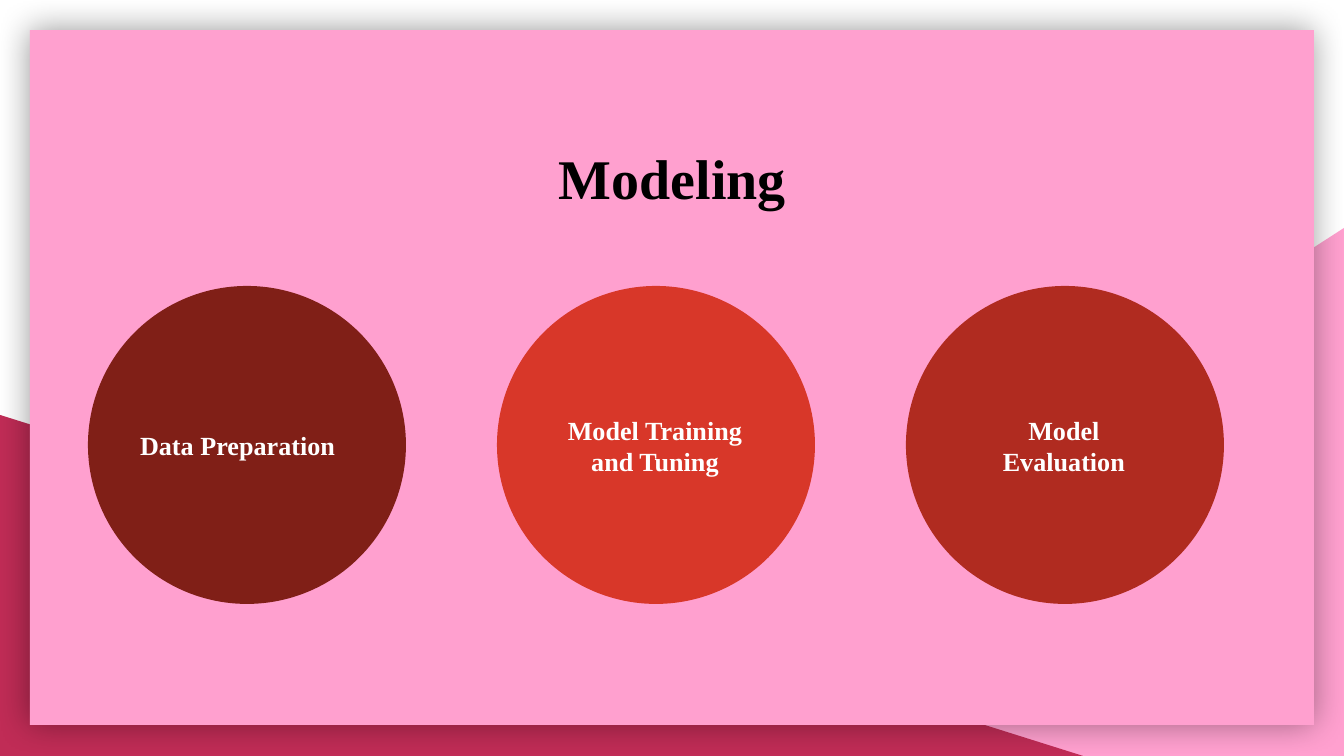
import pptx
import pptx.util
import pptx.oxml
import pptx.oxml.ns
import pptx.dml.color
import pptx.enum.shapes
import pptx.enum.text

PX = 914400 / 134.4
FONT = "Times New Roman"
COLORS = {
    "pink": "FFA0CF",
    "crimson": "C02C56",
    "dark": "801F17",
    "bright": "D83729",
    "brick": "B02B20",
    "white": "FFFFFF",
    "black": "000000",
}
KINDS = pptx.enum.shapes.MSO_SHAPE
ALIGN = pptx.enum.text.PP_ALIGN
ANCHOR = pptx.enum.text.MSO_ANCHOR


def add_filled(shapes, kind, bounds, color):
    shape = shapes.add_shape(kind, *[round(length * PX) for length in bounds])
    shape.shadow.inherit = False
    shape.fill.solid()
    shape.fill.fore_color.rgb = pptx.dml.color.RGBColor.from_string(COLORS[color])
    shape.line.fill.background()
    return shape


def write_text(box, text, size, color, align, anchor):
    frame = box.text_frame
    frame.word_wrap = True
    frame.vertical_anchor = anchor
    frame.margin_left = frame.margin_right = round(13 * PX)
    frame.margin_top = frame.margin_bottom = round(13 * PX)
    para = frame.paragraphs[0]
    para.alignment = align
    span = para.add_run()
    span.text = text
    span.font.name = FONT
    span.font.size = pptx.util.Pt(size)
    span.font.bold = True
    span.font.color.rgb = pptx.dml.color.RGBColor.from_string(COLORS[color])


deck = pptx.Presentation()
deck.slide_width = round(1344 * PX)
deck.slide_height = round(756 * PX)
page = deck.slides.add_slide(deck.slide_layouts[5])

right_corner = add_filled(page.shapes, KINDS.RIGHT_TRIANGLE, (527, 228, 817, 528), "pink")
right_corner.element.spPr.find(pptx.oxml.ns.qn("a:xfrm")).set("flipH", "1")
add_filled(page.shapes, KINDS.RIGHT_TRIANGLE, (0, 415, 1083, 341), "crimson")
card = add_filled(page.shapes, KINDS.RECTANGLE, (30, 30, 1284, 695), "pink")
effects = card.element.spPr.find(pptx.oxml.ns.qn("a:effectLst"))
effects.append(pptx.oxml.parse_xml(
    f'<a:outerShdw {pptx.oxml.ns.nsdecls("a")} blurRad="{pptx.util.Pt(18)}" dist="0" dir="0" '
    f'algn="ctr" rotWithShape="0"><a:srgbClr val="{COLORS["black"]}">'
    '<a:alpha val="40000"/></a:srgbClr></a:outerShdw>'
))

title = page.shapes.title
card.element.addnext(title.element)
title.left, title.top, title.width, title.height = [
    round(length * PX) for length in (121, 124, 1103, 140)
]
write_text(title, "Modeling", 30, "black", ALIGN.CENTER, ANCHOR.TOP)
title.text_frame.margin_top = round(20 * PX)

steps = [
    (1, "Model Training and Tuning", "bright", 48, 220, ALIGN.CENTER),
    (2, "Model Evaluation", "brick", 48, 220, ALIGN.CENTER),
    (0, "Data Preparation", "dark", 39, 262, ALIGN.LEFT),
]
for column, label, color, inset, width, align in steps:
    left = 88 + 409 * column
    group = page.shapes.add_group_shape()
    add_filled(group.shapes, KINDS.OVAL, (left, 286, 318, 318), color)
    bounds = (left + inset, 394, width, 103)
    box = group.shapes.add_textbox(*[round(length * PX) for length in bounds])
    write_text(box, label, 14, "white", align, ANCHOR.MIDDLE)

deck.save("out.pptx")
